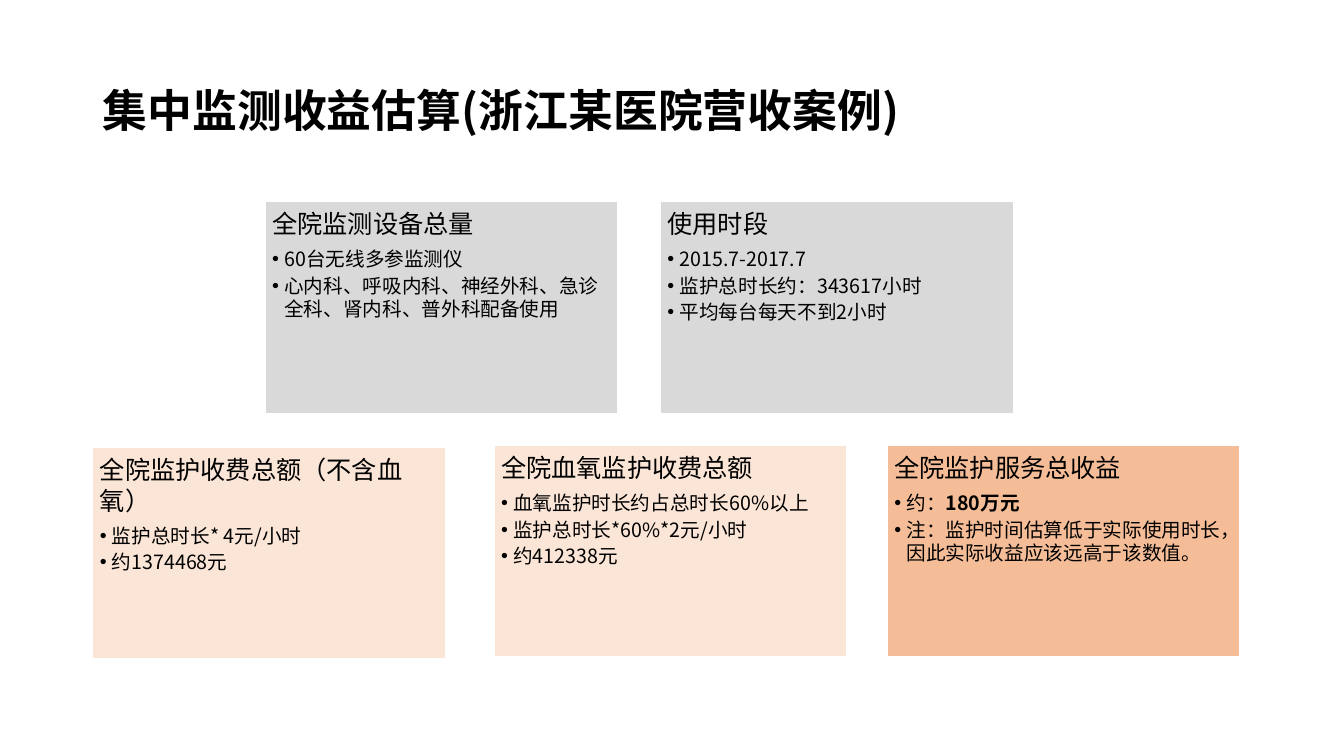
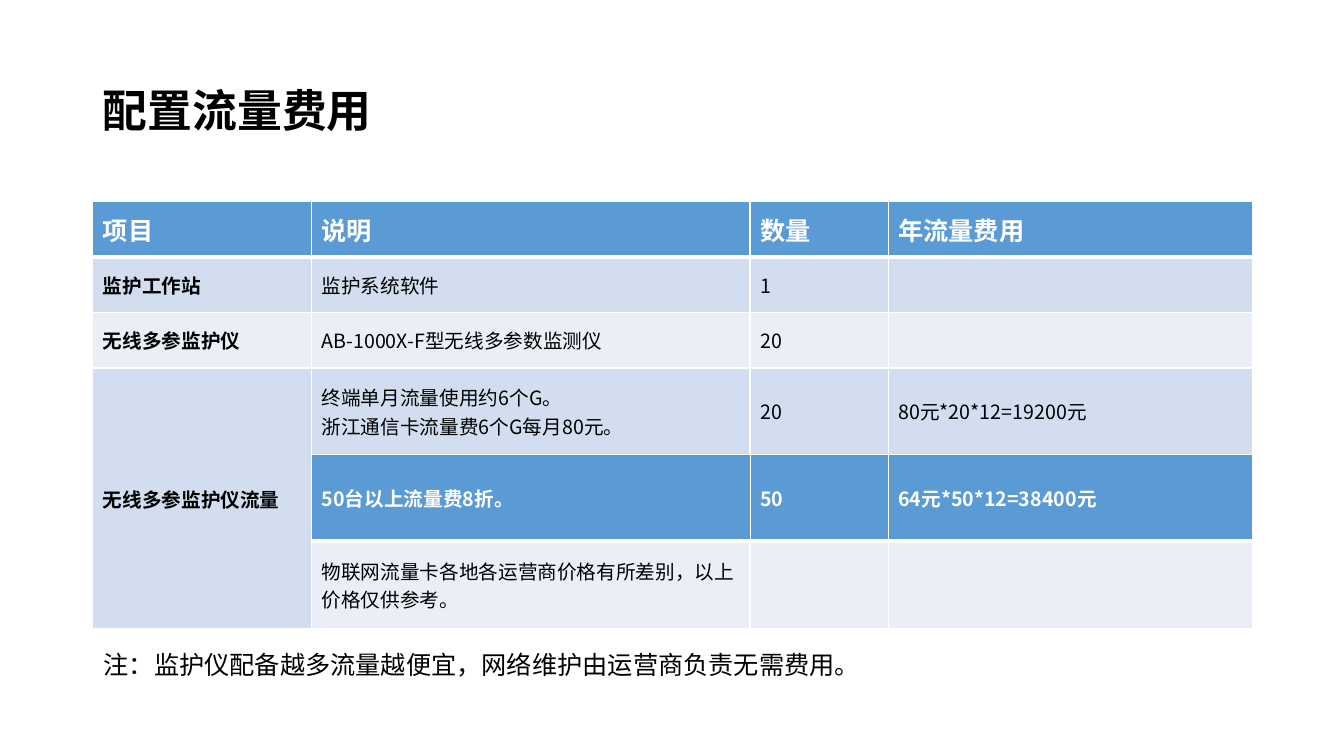
from lxml import etree
from pptx import Presentation
from pptx.dml.color import RGBColor
from pptx.enum import shapes, text
from pptx.oxml.ns import qn
from pptx.util import Inches, Pt

FONT = "Noto Sans CJK SC"
BLACK = RGBColor(0x00, 0x00, 0x00)
WHITE = RGBColor(0xFF, 0xFF, 0xFF)
GREY = RGBColor(0xD9, 0xD9, 0xD9)
PEACH = RGBColor(0xFB, 0xE5, 0xD6)
ORANGE = RGBColor(0xED, 0x7D, 0x31)
BLUE = RGBColor(0x5B, 0x9B, 0xD5)
BAND_DARK = RGBColor(0xD2, 0xDE, 0xEF)
BAND_LIGHT = RGBColor(0xEA, 0xEF, 0xF7)

TITLE_SIZE, HEADING_SIZE, BODY_SIZE = 32, 18, 14
MARGIN, CONTENT_TOP, CONTENT_WIDTH = 0.92, 2, 11.5
CARD_WIDTH, CARD_HEIGHT, CARD_INSET = 3.5, 2.1, 0.07

REVENUE_TITLE = "集中监测收益估算(浙江某医院营收案例)"
# left, top, fill, opacity in percent, heading, bullets (each a list of text and bold pairs)
CARDS = [
    (2.63, CONTENT_TOP, GREY, 100, "全院监测设备总量", [
        [("60台无线多参监测仪", False)],
        [("心内科、呼吸内科、神经外科、急诊全科、肾内科、普外科配备使用", False)],
    ]),
    (6.55, CONTENT_TOP, GREY, 100, "使用时段", [
        [("2015.7-2017.7", False)],
        [("监护总时长约：343617小时", False)],
        [("平均每台每天不到2小时", False)],
    ]),
    (MARGIN, 4.44, PEACH, 100, "全院监护收费总额（不含血氧）", [
        [("监护总时长* 4元/小时", False)],
        [("约1374468元", False)],
    ]),
    (4.9, 4.42, PEACH, 100, "全院血氧监护收费总额", [
        [("血氧监护时长约占总时长60%以上", False)],
        [("监护总时长*60%*2元/小时", False)],
        [("约412338元", False)],
    ]),
    (8.8, 4.42, ORANGE, 50, "全院监护服务总收益", [
        [("约：", False), ("180万元", True)],
        [("注：监护时间估算低于实际使用时长，因此实际收益应该远高于该数值。", False)],
    ]),
]

FEE_TITLE = "配置流量费用"
FEE_NOTE = "注：监护仪配备越多流量越便宜，网络维护由运营商负责无需费用。"
COLUMN_WIDTHS = [2.17, 4.35, 1.37, 3.61]
# row height, fill, cell texts (one string per paragraph)
FEE_ROWS = [
    (0.55, BLUE, [["项目"], ["说明"], ["数量"], ["年流量费用"]]),
    (0.55, BAND_DARK, [["监护工作站"], ["监护系统软件"], ["1"], []]),
    (0.55, BAND_LIGHT, [["无线多参监护仪"], ["AB-1000X-F型无线多参数监测仪"], ["20"], []]),
    (0.86, BAND_DARK, [["无线多参监护仪流量"],
                       ["终端单月流量使用约6个G。", "浙江通信卡流量费6个G每月80元。"],
                       ["20"], ["80元*20*12=19200元"]]),
    (1.73, BAND_LIGHT, [[], ["物联网流量卡各地各运营商价格有所差别，以上价格仅供参考。"], [], []]),
]
DISCOUNT_HEIGHT = 0.86
DISCOUNT_ROWS = [
    (DISCOUNT_HEIGHT, BLUE, [["50台以上流量费8折。"], ["50"], ["64元*50*12=38400元"]]),
]


def add_run(paragraph, content, size, color=BLACK, bold=False):
    run = paragraph.add_run()
    run.text = content
    run.font.size = Pt(size)
    run.font.bold = bold
    run.font.color.rgb = color
    run.font.name = FONT
    etree.SubElement(run.font._element, qn("a:ea"), typeface=FONT)


def next_paragraph(frame, index):
    return frame.paragraphs[0] if index == 0 else frame.add_paragraph()


def add_titled_slide(presentation, title):
    slide = presentation.slides.add_slide(presentation.slide_layouts[5])
    shape = slide.shapes.title
    shape.left, shape.top = Inches(MARGIN), Inches(0.4)
    shape.width, shape.height = Inches(CONTENT_WIDTH), Inches(1.45)
    shape.text_frame.vertical_anchor = text.MSO_ANCHOR.MIDDLE
    paragraph = shape.text_frame.paragraphs[0]
    paragraph.alignment = text.PP_ALIGN.LEFT
    paragraph.line_spacing = 0.9
    add_run(paragraph, title, TITLE_SIZE, bold=True)
    return slide


def set_bullet(paragraph):
    properties = paragraph._p.get_or_add_pPr()
    properties.set("marL", str(Inches(0.12)))
    properties.set("indent", str(-Inches(0.12)))
    etree.SubElement(properties, qn("a:buFont"), typeface="Arial")
    etree.SubElement(properties, qn("a:buChar"), char="•")


def add_card(slide, left, top, fill, opacity, heading, bullets):
    card = slide.shapes.add_shape(
        shapes.MSO_SHAPE.RECTANGLE, Inches(left), Inches(top),
        Inches(CARD_WIDTH), Inches(CARD_HEIGHT))
    card.shadow.inherit = False
    card.fill.solid()
    card.fill.fore_color.rgb = fill
    if opacity < 100:
        color = card._element.spPr.find(qn("a:solidFill"))[0]
        etree.SubElement(color, qn("a:alpha"), val=str(opacity * 1000))
    card.line.color.rgb = WHITE
    card.line.width = Pt(1)

    frame = card.text_frame
    frame.word_wrap = True
    frame.vertical_anchor = text.MSO_ANCHOR.TOP
    frame.margin_left = frame.margin_right = Inches(CARD_INSET)
    frame.margin_top = frame.margin_bottom = Inches(CARD_INSET)
    for index, runs in enumerate([[(heading, False)]] + bullets):
        paragraph = next_paragraph(frame, index)
        if index:
            set_bullet(paragraph)
        paragraph.alignment = text.PP_ALIGN.LEFT
        paragraph.space_after = Pt(2 if index else 6)
        for content, bold in runs:
            add_run(paragraph, content, BODY_SIZE if index else HEADING_SIZE, bold=bold)


def set_borders(cell, top, bottom):
    """Draw white cell borders; top and bottom are widths in points."""
    properties = cell._tc.get_or_add_tcPr()
    sides = [("a:lnL", 1), ("a:lnR", 1), ("a:lnT", top), ("a:lnB", bottom)]
    for position, (tag, width) in enumerate(sides):
        line = etree.Element(qn(tag), w=str(Pt(width)))
        fill = etree.SubElement(line, qn("a:solidFill"))
        etree.SubElement(fill, qn("a:srgbClr"), val=str(WHITE))
        properties.insert(position, line)


def add_banded_table(slide, left, top, widths, rows, first_size):
    """Add a table whose blue rows hold bold white text; first_size is for its first row."""
    table = slide.shapes.add_table(
        len(rows), len(widths), Inches(left), Inches(top),
        Inches(sum(widths)), Inches(sum(height for height, _, _ in rows))).table
    for column, width in zip(table.columns, widths):
        column.width = Inches(width)
    for row, (height, fill, texts) in enumerate(rows):
        table.rows[row].height = Inches(height)
        top_border = 3 if row and rows[row - 1][1] == BLUE else 1
        for column, paragraphs in enumerate(texts):
            cell = table.cell(row, column)
            cell.fill.solid()
            cell.fill.fore_color.rgb = fill
            set_borders(cell, top_border, 3 if fill == BLUE else 1)
            cell.vertical_anchor = text.MSO_ANCHOR.MIDDLE
            cell.text_frame.paragraphs[0].font.size = Pt(BODY_SIZE)
            for index, content in enumerate(paragraphs):
                add_run(next_paragraph(cell.text_frame, index), content,
                        BODY_SIZE if row else first_size,
                        WHITE if fill == BLUE else BLACK,
                        bold=column == 0 or fill == BLUE)
    return table


def add_fee_tables(slide):
    fees = add_banded_table(slide, MARGIN, CONTENT_TOP, COLUMN_WIDTHS, FEE_ROWS, HEADING_SIZE)
    last = len(FEE_ROWS) - 1
    fees.cell(last - 1, 0).merge(fees.cell(last, 0))
    fees.cell(last, 1).margin_top = Inches(DISCOUNT_HEIGHT + 0.05)

    discount_top = CONTENT_TOP + sum(height for height, _, _ in FEE_ROWS[:last])
    add_banded_table(slide, MARGIN + COLUMN_WIDTHS[0], discount_top,
                     COLUMN_WIDTHS[1:], DISCOUNT_ROWS, BODY_SIZE)


def add_note(slide, content):
    box = slide.shapes.add_textbox(Inches(0.93), Inches(6.39), Inches(7.81), Inches(0.4))
    box.text_frame.word_wrap = True
    add_run(box.text_frame.paragraphs[0], content, HEADING_SIZE)


def main():
    presentation = Presentation()
    presentation.slide_width, presentation.slide_height = Inches(13.33), Inches(7.5)

    revenue_slide = add_titled_slide(presentation, REVENUE_TITLE)
    for card in CARDS:
        add_card(revenue_slide, *card)

    fee_slide = add_titled_slide(presentation, FEE_TITLE)
    add_fee_tables(fee_slide)
    add_note(fee_slide, FEE_NOTE)

    presentation.save("out.pptx")


if __name__ == "__main__":
    main()
